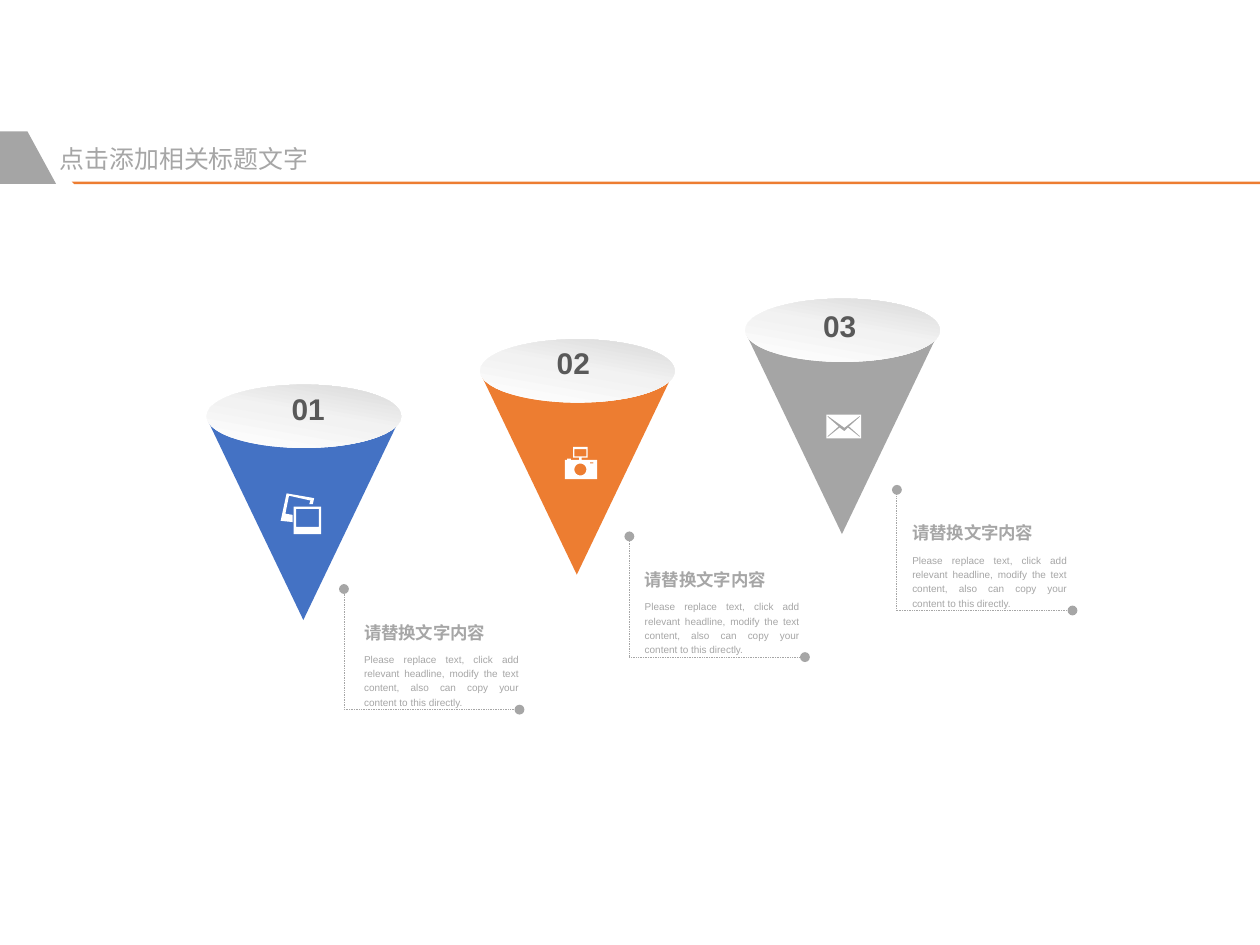
import math
from copy import deepcopy
from dataclasses import dataclass

from lxml import etree
from pptx import Presentation
from pptx import util as u
from pptx.dml.color import RGBColor
from pptx.enum import dml, shapes, text
from pptx.oxml.ns import qn


@dataclass(frozen=True)
class Theme:
    font: str = "Arial"
    blue: str = "4472C4"
    orange: str = "ED7D31"
    grey: str = "A5A5A5"
    muted: str = "A6A6A6"
    dark: str = "595959"
    white: str = "FFFFFF"
    lid: tuple = ((0, "FFFFFF"), (0.53, "F2F2F2"), (1, "D9D9D9"))
    title: float = 15
    number: float = 18
    heading: float = 10.5
    body: float = 6
    rule: float = 0.5
    spacing: float = 1.2


T = Theme()
HEADING = "请替换文字内容"
BODY = ("Please replace text, click add relevant headline, modify the text "
        "content, also can copy your content to this directly.")


def rect(x, y, w, h):
    return [(x, y), (x + w, y), (x + w, y + h), (x, y + h)]


def circle(cx, cy, r, n=36):
    angles = [2 * math.pi * i / n for i in range(n)]
    return [(cx + r * math.cos(a), cy + r * math.sin(a)) for a in angles]


PHOTOS = [
    [rect(2.46, 4.24, 0.23, 0.23), rect(2.48, 4.26, 0.19, 0.15)],
    [[(2.4, 4.13), (2.63, 4.17), (2.62, 4.22), (2.59, 4.22), (2.6, 4.19), (2.42, 4.15),
      (2.39, 4.3), (2.45, 4.31), (2.45, 4.37), (2.35, 4.36)]],
]
CAMERA = [[
    [(4.87, 3.85), (4.87, 3.83), (4.92, 3.83), (4.92, 3.74), (4.8, 3.74), (4.8, 3.83),
     (4.85, 3.83), (4.85, 3.85), (4.78, 3.85), (4.78, 3.84), (4.75, 3.84), (4.75, 3.85),
     (4.73, 3.85), (4.73, 4.01), (5, 4.01), (5, 3.85)],
    rect(4.81, 3.76, 0.1, 0.06), circle(4.86, 3.93, 0.05), rect(4.94, 3.87, 0.03, 0.01),
]]
ENVELOPE = [[
    rect(6.92, 3.47, 0.29, 0.2),
    [(7.2, 3.49), (7.11, 3.57), (7.2, 3.65), (7.2, 3.66), (7.1, 3.58), (7.07, 3.61),
     (7.03, 3.58), (6.93, 3.66), (6.93, 3.65), (7.02, 3.57), (6.93, 3.49), (6.93, 3.48),
     (7.07, 3.58), (7.2, 3.48)],
]]


class Deck:
    def __init__(self, theme, width, height):
        self.t = theme
        self.prs = Presentation()
        self.prs.slide_width, self.prs.slide_height = u.Inches(width), u.Inches(height)
        self.s = self.prs.slides.add_slide(self.prs.slide_layouts[5])

    def run(self, p, words, size, color, bold=False):
        r = p.add_run()
        r.text = words
        r.font.name, r.font.size, r.font.bold = self.t.font, u.Pt(size), bold
        r.font.color.rgb = RGBColor.from_string(color)

    def title(self, words, x, y, w, h):
        sp = self.s.shapes.title
        sp.left, sp.top, sp.width, sp.height = map(u.Inches, (x, y, w, h))
        tf = sp.text_frame
        tf.margin_left = tf.margin_right = tf.margin_top = tf.margin_bottom = 0
        tf.auto_size = text.MSO_AUTO_SIZE.NONE
        tf.vertical_anchor = text.MSO_ANCHOR.MIDDLE
        p = tf.paragraphs[0]
        p.alignment = text.PP_ALIGN.LEFT
        self.run(p, words, self.t.title, self.t.muted)

    def text(self, words, x, y, w, h, size, color, align, bold=False, wrap=True):
        tf = self.s.shapes.add_textbox(*map(u.Inches, (x, y, w, h))).text_frame
        tf.word_wrap = wrap
        p = tf.paragraphs[0]
        p.alignment, p.line_spacing = align, self.t.spacing
        self.run(p, words, size, color, bold)

    def outline(self, contours, color):
        fb = None
        for contour in contours:
            pts = [(u.Inches(x), u.Inches(y)) for x, y in contour]
            if fb is None:
                fb = self.s.shapes.build_freeform(*pts[0])
            else:
                fb.move_to(*pts[0])
            fb.add_line_segments(pts[1:], close=True)
        sp = fb.convert_to_shape()
        sp.shadow.inherit = False
        sp.fill.solid()
        sp.fill.fore_color.rgb = RGBColor.from_string(color)
        sp.line.fill.background()

    def lid(self, x, y, w, h):
        sp = self.s.shapes.add_shape(shapes.MSO_SHAPE.OVAL, *map(u.Inches, (x, y, w, h)))
        sp.shadow.inherit = False
        sp.line.fill.background()
        sp.fill.gradient()
        sp.fill.gradient_angle = 80
        gs = sp._element.spPr.find(".//" + qn("a:gs"))
        gs.addnext(deepcopy(gs))
        for stop, (position, color) in zip(sp.fill.gradient_stops, self.t.lid):
            stop.position = position
            stop.color.rgb = RGBColor.from_string(color)

    def cone(self, number, x, y, color, number_at):
        body = [(0.01, 0.3), (0.07, 0.29), (1.57, 0.29), (1.61, 0.3), (0.81, 1.97)]
        self.outline([[(x + dx, y + dy) for dx, dy in body]], color)
        self.lid(x, y, 1.63, 0.53)
        self.text(number, *number_at, 0.48, 0.43, self.t.number, self.t.dark,
                  text.PP_ALIGN.CENTER, bold=True, wrap=False)

    def dotted(self, x1, y1, x2, y2):
        c = self.s.shapes.add_connector(
            shapes.MSO_CONNECTOR.STRAIGHT, *map(u.Inches, (x1, y1, x2, y2)))
        c.line.color.rgb = RGBColor.from_string(self.t.muted)
        c.line.width = u.Pt(self.t.rule)
        c.line.dash_style = dml.MSO_LINE.ROUND_DOT
        etree.SubElement(c.line._get_or_add_ln(), qn("a:tailEnd"), type="oval")
        etree.SubElement(c._element.spPr, qn("a:effectLst"))

    def callout(self, x, y, text_x):
        self.dotted(x, y, x + 1.47, y)
        self.dotted(x, y, x, y - 1.01)
        self.text(HEADING, text_x, y - 0.82, 1.26, 0.29, self.t.heading, self.t.muted,
                  text.PP_ALIGN.LEFT, bold=True)
        self.text(BODY, text_x, y - 0.54, 1.49, 0.57, self.t.body, self.t.muted,
                  text.PP_ALIGN.JUSTIFY)


def main():
    d = Deck(T, 10.55, 7.91)
    d.title("点击添加相关标题文字", 0.5, 1.2, 2.52, 0.25)
    d.outline([[(0.6, 1.52), (10.55, 1.52), (10.55, 1.54), (0.62, 1.54)]], T.orange)
    d.outline([[(0.23, 1.1), (0.47, 1.54), (0, 1.54), (0, 1.1)]], T.grey)

    items = [
        ("01", 1.73, 3.22, T.blue, (2.34, 3.16), PHOTOS, (2.88, 5.94, 2.95)),
        ("02", 4.02, 2.84, T.orange, (4.56, 2.78), CAMERA, (5.27, 5.5, 5.3)),
        ("03", 6.24, 2.5, T.grey, (6.79, 2.47), ENVELOPE, (7.51, 5.11, 7.54)),
    ]
    for number, x, y, color, number_at, icon, callout in items:
        d.cone(number, x, y, color, number_at)
        for part in icon:
            d.outline(part, T.white)
        d.callout(*callout)
    d.prs.save("out.pptx")


if __name__ == "__main__":
    main()
